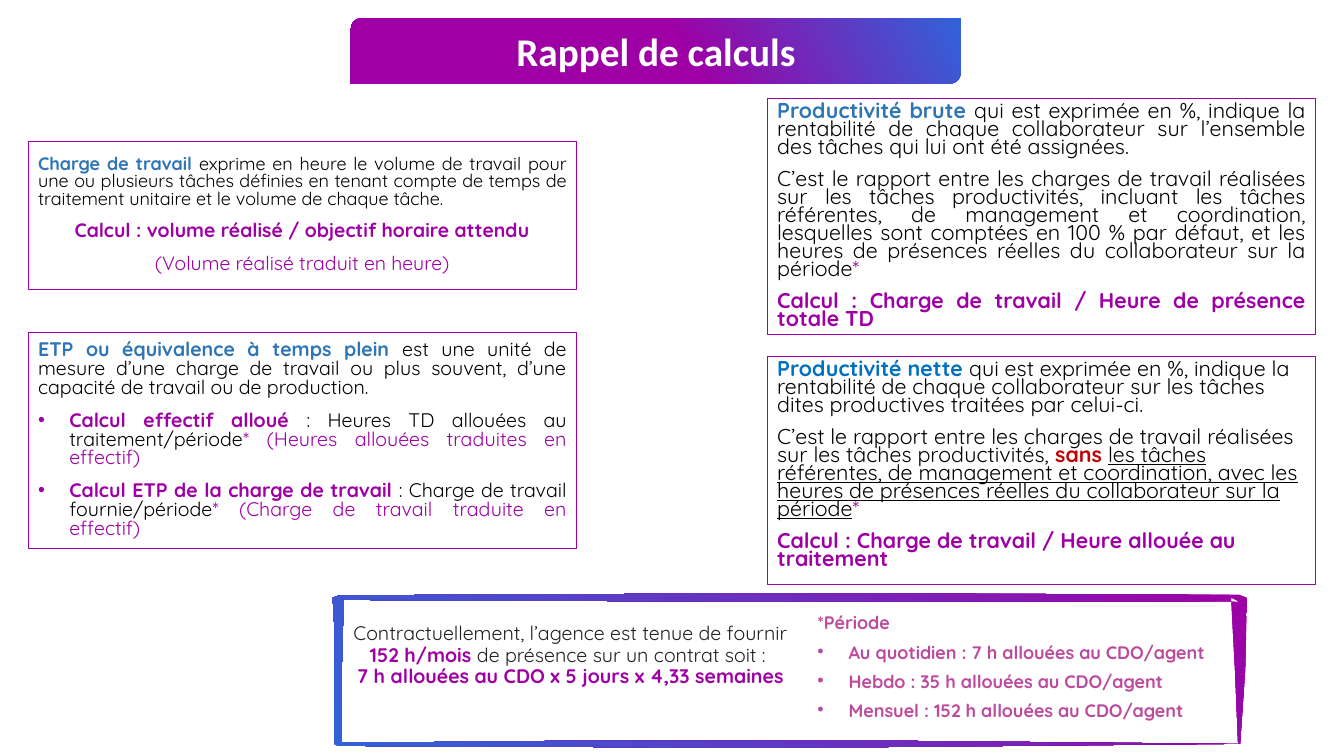
from lxml.etree import SubElement
from pptx import Presentation
from pptx.dml.color import RGBColor
from pptx.enum.shapes import MSO_SHAPE
from pptx.enum.text import MSO_ANCHOR, MSO_AUTO_SIZE, PP_ALIGN
from pptx.oxml.ns import qn
from pptx.util import Inches, Pt

PURPLE, BLUE, BLACK = "9E00A5", "3163D8", "000000"
LEFT, CENTER, JUSTIFY = PP_ALIGN.LEFT, PP_ALIGN.CENTER, PP_ALIGN.JUSTIFY
TOP, MIDDLE = MSO_ANCHOR.TOP, MSO_ANCHOR.MIDDLE

STYLES = {
    "term": ("2E75B6", True, False),
    "net term": ("0070C0", True, False),
    "plain": (BLACK, False, False),
    "underlined": (BLACK, False, True),
    "formula": (PURPLE, True, False),
    "note": (PURPLE, False, False),
    "without": ("C00000", True, False),
    "contract": ("212121", False, False),
    "period": ("BC4B9D", True, False),
}

TITLE = "Rappel de calculs"
TITLE_AREA = (3.48, 0.18, 6.05, 0.65)

WORKLOAD = [
    (JUSTIFY, 12.9, False, [
        ("Charge de travail ", "term"),
        ("exprime en heure le volume de travail pour une ou plusieurs tâches définies en tenant "
         "compte de temps de traitement unitaire et le volume de chaque tâche.", "plain")]),
    (CENTER, 13.9, False, [("Calcul : volume réalisé / objectif horaire attendu", "formula")]),
    (CENTER, 13.9, False, [("(Volume réalisé traduit en heure)", "note")]),
]
FULL_TIME = [
    (JUSTIFY, 14, False, [
        ("ETP ou équivalence à temps plein ", "term"),
        ("est une unité de mesure d’une charge de travail ou plus souvent, d’une capacité de "
         "travail ou de production.", "plain")]),
    (JUSTIFY, 14, True, [
        ("Calcul effectif alloué ", "formula"),
        (": Heures TD allouées au traitement/période", "plain"),
        ("* (Heures allouées traduites en effectif)", "note")]),
    (JUSTIFY, 14, True, [
        ("Calcul ETP de la charge de travail ", "formula"),
        (": Charge de travail fournie/période", "plain"),
        ("* (Charge de travail traduite en effectif)", "note")]),
]
GROSS = [
    (JUSTIFY, 15.3, False, [
        ("Productivité brute ", "term"),
        ("qui est exprimée en %, indique la rentabilité de chaque collaborateur sur l’ensemble "
         "des tâches qui lui ont été assignées.", "plain")]),
    (JUSTIFY, 15.3, False, [
        ("C’est le rapport entre les charges de travail réalisées sur les tâches productivités, "
         "incluant les tâches référentes, de management et coordination, lesquelles sont comptées "
         "en 100 % par défaut, et les heures de présences réelles du collaborateur sur la période",
         "plain"),
        ("*", "note")]),
    (JUSTIFY, 15.3, False, [
        ("Calcul : Charge de travail / Heure de présence totale TD", "formula")]),
]
NET = [
    (LEFT, 15.3, False, [
        ("Productivité nette ", "net term"),
        ("qui est exprimée en %, indique la rentabilité de chaque collaborateur sur les tâches "
         "dites productives traitées par celui-ci.", "plain")]),
    (LEFT, 15.3, False, [
        ("C’est le rapport entre les charges de travail réalisées sur les tâches productivités, ",
         "plain"),
        ("sans ", "without"),
        ("les tâches référentes, de management et coordination, avec les heures de présences "
         "réelles du collaborateur sur la période", "underlined"),
        ("*", "note")]),
    (LEFT, 15.3, False, [
        ("Calcul : Charge de travail / Heure allouée au traitement", "formula")]),
]
CONTRACT = [
    (CENTER, 14, False, [
        ("Contractuellement, l’agence est tenue de fournir ", "contract"),
        ("152 h/mois ", "formula"),
        ("de présence sur un contrat soit : \n", "contract"),
        ("7 h allouées au CDO x 5 jours x 4,33 semaines", "formula")]),
]
PERIOD = [(LEFT, 12.9, False, [("*Période", "period")])] + [
    (LEFT, 12.9, True, [(f"{name} : {hours} h allouées au CDO/agent", "period")])
    for name, hours in (("Au quotidien", 7), ("Hebdo", 35), ("Mensuel", 152))
]

BOXES = [
    ((0.28, 1.4, 5.44, 1.47), True, MIDDLE, 0.8, WORKLOAD),
    ((0.28, 3.3, 5.44, 2.14), True, MIDDLE, 0.8, FULL_TIME),
    ((7.61, 3.54, 5.44, 2.26), True, TOP, 0.7, NET),
    ((7.61, 0.98, 5.44, 2.34), True, TOP, 0.7, GROSS),
    ((3.34, 6.14, 4.64, 1.19), False, TOP, 0.9, CONTRACT),
    ((8.01, 6.08, 4.64, 1.19), False, TOP, 0.7, PERIOD),
]

FRAME_OUTER = [
    (12.3, 7.38), (10.08, 7.4), (7.83, 7.42), (5.6, 7.41), (3.36, 7.4), (3.32, 7.38),
    (3.32, 6.29), (3.3, 5.93), (3.36, 5.91), (4.47, 5.9), (6.98, 5.89), (9.5, 5.89),
    (12.29, 5.9), (12.37, 5.93), (12.35, 6.65), (12.3, 7.38),
]
FRAME_INNER = [
    (12.28, 7.38), (12.25, 6.66), (12.21, 5.93), (12.29, 5.97), (10.06, 5.97), (4.47, 5.96),
    (3.36, 5.95), (3.41, 5.93), (3.39, 6.66), (3.39, 7.38), (3.36, 7.37), (5.58, 7.35),
    (8.93, 7.35), (12.28, 7.38),
]


def rgb(value):
    return RGBColor.from_string(value)


def inches(values):
    return [Inches(value) for value in values]


def fill_gradient(shape, start, end, end_position, angle):
    shape.fill.gradient()
    shape.fill.gradient_angle = 360 - angle
    for stop, color, position in zip(shape.fill.gradient_stops, (start, end), (0, end_position)):
        stop.color.rgb = rgb(color)
        stop.position = position
    shape.line.fill.background()
    shape.shadow.inherit = False


def format_run(run, size, style):
    color, bold, underline = STYLES[style]
    run.font.name = "Quicksand"
    run.font.size = Pt(size)
    run.font.bold = bold
    run.font.underline = underline
    run.font.color.rgb = rgb(color)


def add_bullet(paragraph):
    properties = paragraph._p.get_or_add_pPr()
    properties.set("marL", str(Inches(0.31)))
    properties.set("indent", str(-Inches(0.31)))
    SubElement(properties, qn("a:buFont")).set("typeface", "Arial")
    SubElement(properties, qn("a:buChar")).set("char", "•")


def add_box(slide, area, outlined, anchor, spacing, content):
    box = slide.shapes.add_textbox(*inches(area))
    if outlined:
        box.line.color.rgb = rgb(PURPLE)
        box.line.width = Pt(0.75)
    frame = box.text_frame
    frame.word_wrap = True
    frame.auto_size = MSO_AUTO_SIZE.NONE
    frame.vertical_anchor = anchor
    for index, (alignment, size, bulleted, runs) in enumerate(content):
        paragraph = frame.paragraphs[0] if index == 0 else frame.add_paragraph()
        paragraph.alignment = alignment
        paragraph.line_spacing = spacing
        paragraph.space_before = Pt(10)
        if bulleted:
            add_bullet(paragraph)
        for text, style in runs:
            run = paragraph.add_run()
            run.text = text.rstrip("\n")
            format_run(run, size, style)
            if text.endswith("\n"):
                paragraph.add_line_break()


def add_frame(slide):
    outer = [inches(point) for point in FRAME_OUTER]
    inner = [inches(point) for point in FRAME_INNER]
    builder = slide.shapes.build_freeform(*outer[0])
    builder.add_line_segments(outer[1:], close=True)
    builder.move_to(*inner[0])
    builder.add_line_segments(inner[1:], close=True)
    fill_gradient(builder.convert_to_shape(), PURPLE, BLUE, 1, 140)


def add_title(slide):
    banner = slide.shapes.add_shape(MSO_SHAPE.ROUND_2_DIAG_RECTANGLE, *inches(TITLE_AREA))
    fill_gradient(banner, BLUE, PURPLE, 0.46, 152)
    title = slide.shapes.title
    title.left, title.top, title.width, title.height = inches(TITLE_AREA)
    title.text_frame.text = TITLE
    title.text_frame.vertical_anchor = MIDDLE
    title.text_frame.auto_size = MSO_AUTO_SIZE.NONE
    paragraph = title.text_frame.paragraphs[0]
    paragraph.alignment = CENTER
    font = paragraph.runs[0].font
    font.name, font.size, font.bold = "Calibri", Pt(28), True
    font.color.rgb = rgb("FFFFFF")
    banner._element.addnext(title._element)


def main():
    presentation = Presentation()
    presentation.slide_width, presentation.slide_height = inches((13.33, 7.5))
    slide = presentation.slides.add_slide(presentation.slide_layouts[5])
    add_frame(slide)
    for box in BOXES:
        add_box(slide, *box)
    add_title(slide)
    presentation.save("out.pptx")


if __name__ == "__main__":
    main()
